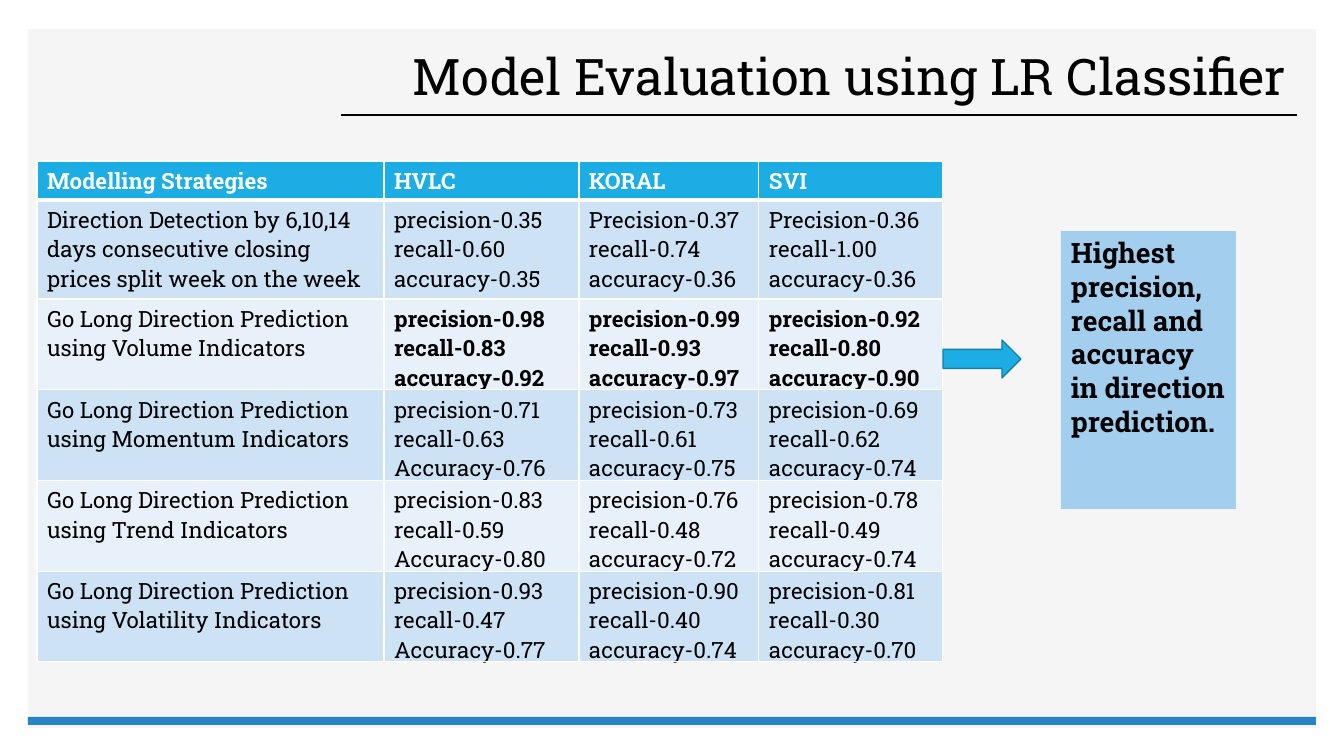
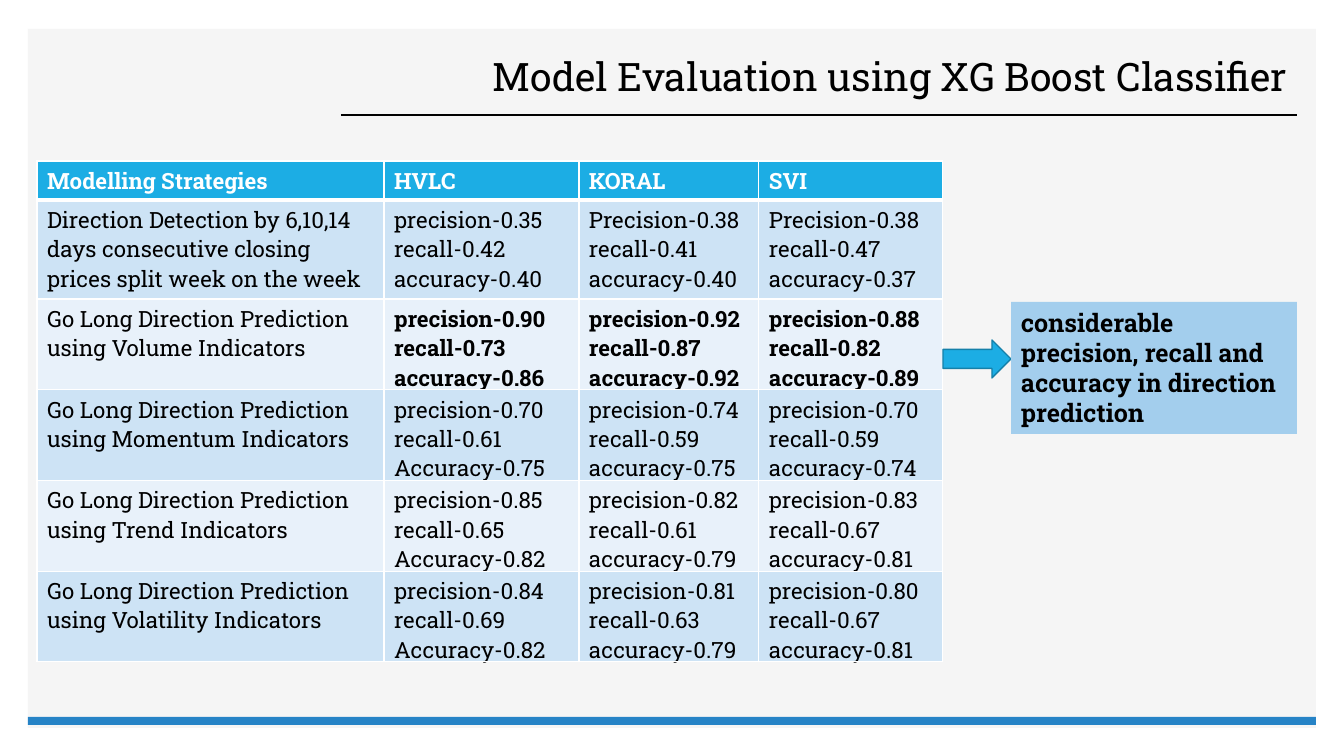
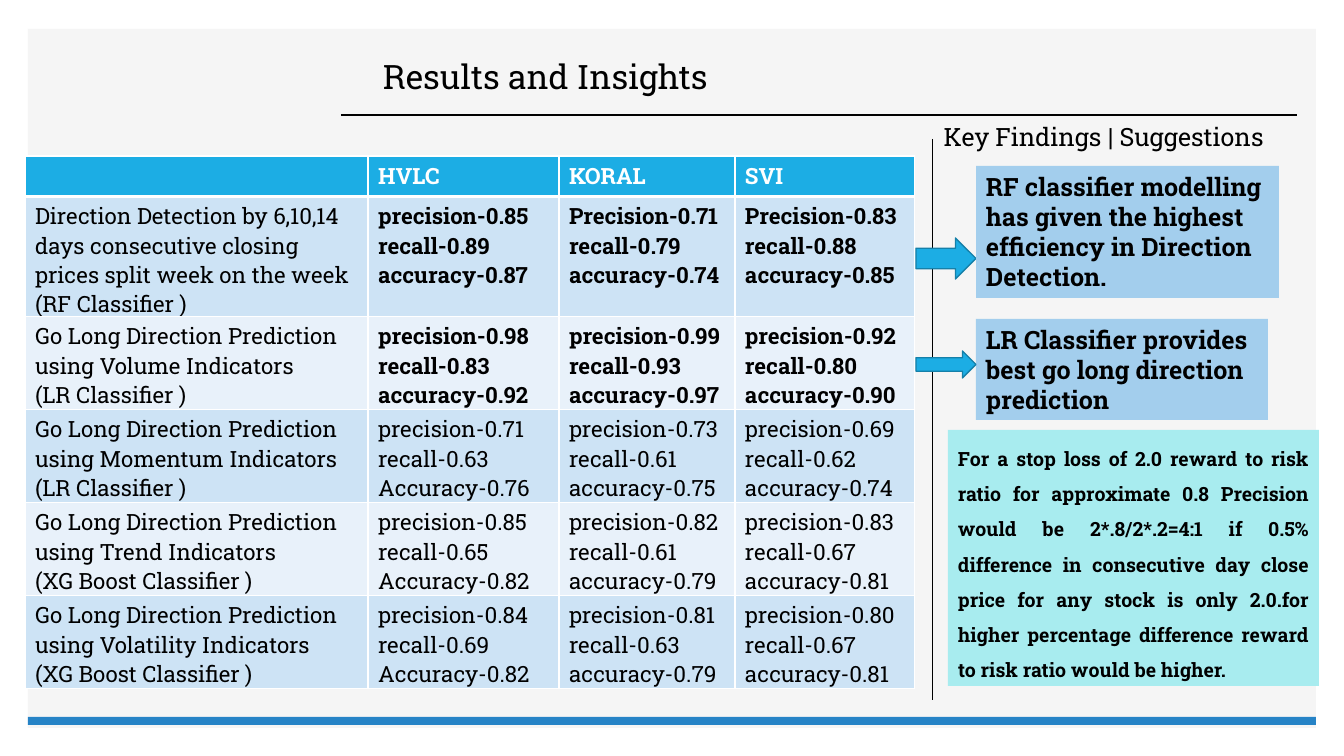
import pptx
import pptx.util
import pptx.dml.color
import pptx.enum.shapes
import pptx.enum.text
import pptx.oxml.ns
from lxml import etree

RGBColor = pptx.dml.color.RGBColor
SHAPE = pptx.enum.shapes.MSO_SHAPE
ALIGN = pptx.enum.text.PP_ALIGN
ANCHOR = pptx.enum.text.MSO_ANCHOR
qn = pptx.oxml.ns.qn

# Shared style
PX = 12192000 / 1344
FONT = "Roboto Slab"
BLACK = RGBColor(0x00, 0x00, 0x00)
WHITE = RGBColor(0xFF, 0xFF, 0xFF)
PANEL = RGBColor(0xF5, 0xF5, 0xF5)
BAND = RGBColor(0x26, 0x83, 0xC6)
ACCENT = RGBColor(0x1C, 0xAD, 0xE4)
ACCENT_EDGE = RGBColor(0x15, 0x80, 0xA9)
ROW_FILLS = RGBColor(0xCD, 0xE3, 0xF5), RGBColor(0xE8, 0xF1, 0xFA)
NOTE = RGBColor(0xA3, 0xCE, 0xED)
NOTE_TEAL = RGBColor(0xA8, 0xEC, 0xEF)

# Table wording
BANKS = ["HVLC", "KORAL", "SVI"]
STRATEGIES = ["Direction Detection by 6,10,14 days consecutive closing prices "
              "split week on the week"]
STRATEGIES += [f"Go Long Direction Prediction using {kind} Indicators"
               for kind in ("Volume", "Momentum", "Trend", "Volatility")]

# Precision, recall and accuracy: one row per strategy, one entry per bank
LR_SCORES = [
    ["0.35 0.60 0.35", "0.37 0.74 0.36", "0.36 1.00 0.36"],
    ["0.98 0.83 0.92", "0.99 0.93 0.97", "0.92 0.80 0.90"],
    ["0.71 0.63 0.76", "0.73 0.61 0.75", "0.69 0.62 0.74"],
    ["0.83 0.59 0.80", "0.76 0.48 0.72", "0.78 0.49 0.74"],
    ["0.93 0.47 0.77", "0.90 0.40 0.74", "0.81 0.30 0.70"],
]
XG_SCORES = [
    ["0.35 0.42 0.40", "0.38 0.41 0.40", "0.38 0.47 0.37"],
    ["0.90 0.73 0.86", "0.92 0.87 0.92", "0.88 0.82 0.89"],
    ["0.70 0.61 0.75", "0.74 0.59 0.75", "0.70 0.59 0.74"],
    ["0.85 0.65 0.82", "0.82 0.61 0.79", "0.83 0.67 0.81"],
    ["0.84 0.69 0.82", "0.81 0.63 0.79", "0.80 0.67 0.81"],
]
RF_DETECTION = ["0.85 0.89 0.87", "0.71 0.79 0.74", "0.83 0.88 0.85"]
BEST_SCORES = [RF_DETECTION] + LR_SCORES[1:3] + XG_SCORES[3:]
BEST_MODELS = ["RF", "LR", "LR", "XG Boost", "XG Boost"]


def px(n):
    return pptx.util.Emu(round(n * PX))


def write(tf, text, size=16, bold=False, color=BLACK, align=ALIGN.LEFT,
          spacing=1.0, anchor=None):
    """Fill a text frame, one paragraph per line of text."""
    tf.word_wrap = True
    if anchor is not None:
        tf.vertical_anchor = anchor
    for i, line in enumerate(text.split("\n")):
        p = tf.paragraphs[0] if i == 0 else tf.add_paragraph()
        p.alignment = align
        p.line_spacing = spacing
        r = p.add_run()
        r.text = line
        r.font.name = FONT
        r.font.size = pptx.util.Pt(size)
        r.font.bold = bold
        r.font.color.rgb = color


def add_box(s, box, fill, edge=None, kind=SHAPE.RECTANGLE):
    sp = s.shapes.add_shape(kind, *map(px, box))
    sp.shadow.inherit = False
    sp.fill.solid()
    sp.fill.fore_color.rgb = fill
    if edge is None:
        sp.line.fill.background()
    else:
        sp.line.color.rgb = edge
        sp.line.width = pptx.util.Pt(1)
    return sp


def add_text(s, box, text, **fmt):
    write(s.shapes.add_textbox(*map(px, box)).text_frame, text, **fmt)


def add_note(s, box, text, fill=NOTE, **fmt):
    write(add_box(s, box, fill).text_frame, text, bold=True,
          anchor=ANCHOR.TOP, **fmt)


def add_arrow(s, box):
    add_box(s, box, ACCENT, ACCENT_EDGE, SHAPE.RIGHT_ARROW)


def add_line(s, x1, y1, x2, y2, width):
    ln = s.shapes.add_connector(pptx.enum.shapes.MSO_CONNECTOR.STRAIGHT,
                                px(x1), px(y1), px(x2), px(y2))
    ln.line.color.rgb = BLACK
    ln.line.width = pptx.util.Pt(width)
    etree.SubElement(ln._element.spPr, qn("a:effectLst"))


def new_slide(prs, title, size, align=ALIGN.RIGHT):
    """Slide with panel, title, title rule and bottom band."""
    s = prs.slides.add_slide(prs.slide_layouts[6])
    add_box(s, (28, 29, 1288, 699), PANEL)
    add_line(s, 341, 115, 1297, 115, 1)
    add_box(s, (28, 717, 1288, 8), BAND)
    add_text(s, (373, 42, 924, 74), title, size=size, align=align,
             spacing=0.9, anchor=ANCHOR.MIDDLE)
    return s


def style_cell(cell, fill, top, bottom):
    tc_pr = cell._tc.get_or_add_tcPr()
    for side, width in zip("LRTB", (1, 1, top, bottom)):
        ln = etree.SubElement(tc_pr, qn(f"a:ln{side}"),
                              w=str(pptx.util.Pt(width)))
        color = etree.SubElement(ln, qn("a:solidFill"))
        etree.SubElement(color, qn("a:srgbClr"), val=str(WHITE))
    cell.fill.solid()
    cell.fill.fore_color.rgb = fill


def score_text(scores, row, col):
    labels = ["Precision" if row == 0 and col > 0 else "precision",
              "recall",
              "Accuracy" if row > 1 and col == 0 else "accuracy"]
    return "\n".join(f"{label}-{value}"
                     for label, value in zip(labels, scores.split()))


def add_score_table(s, x, y, cols, rows, heading, strategies, scores,
                    bold_rows):
    frame = s.shapes.add_table(len(rows), len(cols), px(x), px(y),
                               px(sum(cols)), px(sum(rows)))
    table = frame.table
    table.horz_banding = False
    for column, width in zip(table.columns, cols):
        column.width = px(width)
    for row, height in zip(table.rows, rows):
        row.height = px(height)
    # Header row
    for c, text in enumerate([heading] + BANKS):
        cell = table.cell(0, c)
        style_cell(cell, ACCENT, 1, 3)
        if text:
            write(cell.text_frame, text, bold=True, color=WHITE)
    # Strategy rows
    for i, (strategy, row_scores) in enumerate(zip(strategies, scores)):
        texts = [strategy] + [score_text(v, i, c)
                              for c, v in enumerate(row_scores)]
        for c, text in enumerate(texts):
            cell = table.cell(i + 1, c)
            style_cell(cell, ROW_FILLS[i % 2], 3 if i == 0 else 1, 1)
            write(cell.text_frame, text, bold=c > 0 and i in bold_rows)


def evaluation_slide(prs, title, size, scores, arrow_width, note_box, note,
                     note_size):
    s = new_slide(prs, title, size)
    add_score_table(s, 37, 161, [347, 195, 180, 184], [39, 99] + [89] * 4,
                    "Modelling Strategies", STRATEGIES, scores, {1})
    add_arrow(s, (943, 340, arrow_width, 38))
    add_note(s, note_box, note, size=note_size)


def findings_column(s, x, y):
    """Key findings to the right of the results table."""
    add_text(s, (x, y, 364, 40), "Key Findings | Suggestions ", size=18,
             align=ALIGN.RIGHT)
    add_note(s, (x + 32, y + 314, 371, 256),
             "For a stop loss of 2.0 reward to risk ratio for approximate 0.8 "
             "Precision would be 2*.8/2*.2=4:1 if 0.5% difference in "
             "consecutive day close price for any stock is only 2.0.for "
             "higher percentage difference reward to risk ratio would be "
             "higher.",
             fill=NOTE_TEAL, size=14, align=ALIGN.JUSTIFY, spacing=1.5)
    add_line(s, x + 16, y + 23, x + 16, y + 584, 0.5)
    add_arrow(s, (x, y + 122, 60, 41))
    add_note(s, (x + 60, y + 50, 303, 132),
             "RF classifier modelling has given the highest efficiency in "
             "Direction Detection.", size=18)
    add_note(s, (x + 60, y + 203, 292, 101),
             "LR Classifier provides best go long direction prediction",
             size=18)
    add_arrow(s, (x, y + 235, 60, 27))


def results_slide(prs):
    s = new_slide(prs, "Results and Insights", 24, ALIGN.LEFT)
    strategies = [f"{strategy}\n({model} Classifier )"
                  for strategy, model in zip(STRATEGIES, BEST_MODELS)]
    add_score_table(s, 25, 156, [343, 191, 176, 180], [38, 120] + [93] * 4,
                    "", strategies, BEST_SCORES, {0, 1})
    findings_column(s, 916, 116)


def main():
    prs = pptx.Presentation()
    prs.slide_width, prs.slide_height = px(1344), px(756)
    evaluation_slide(prs, "Model Evaluation using LR Classifier", 36,
                     LR_SCORES, 78, (1061, 231, 175, 278),
                     "Highest precision, recall and accuracy in direction "
                     "prediction.", 20)
    evaluation_slide(prs, "Model Evaluation using XG Boost Classifier", 28,
                     XG_SCORES, 68, (1011, 302, 286, 132),
                     "considerable precision, recall and accuracy in "
                     "direction prediction", 18)
    results_slide(prs)
    prs.save("out.pptx")


if __name__ == "__main__":
    main()
